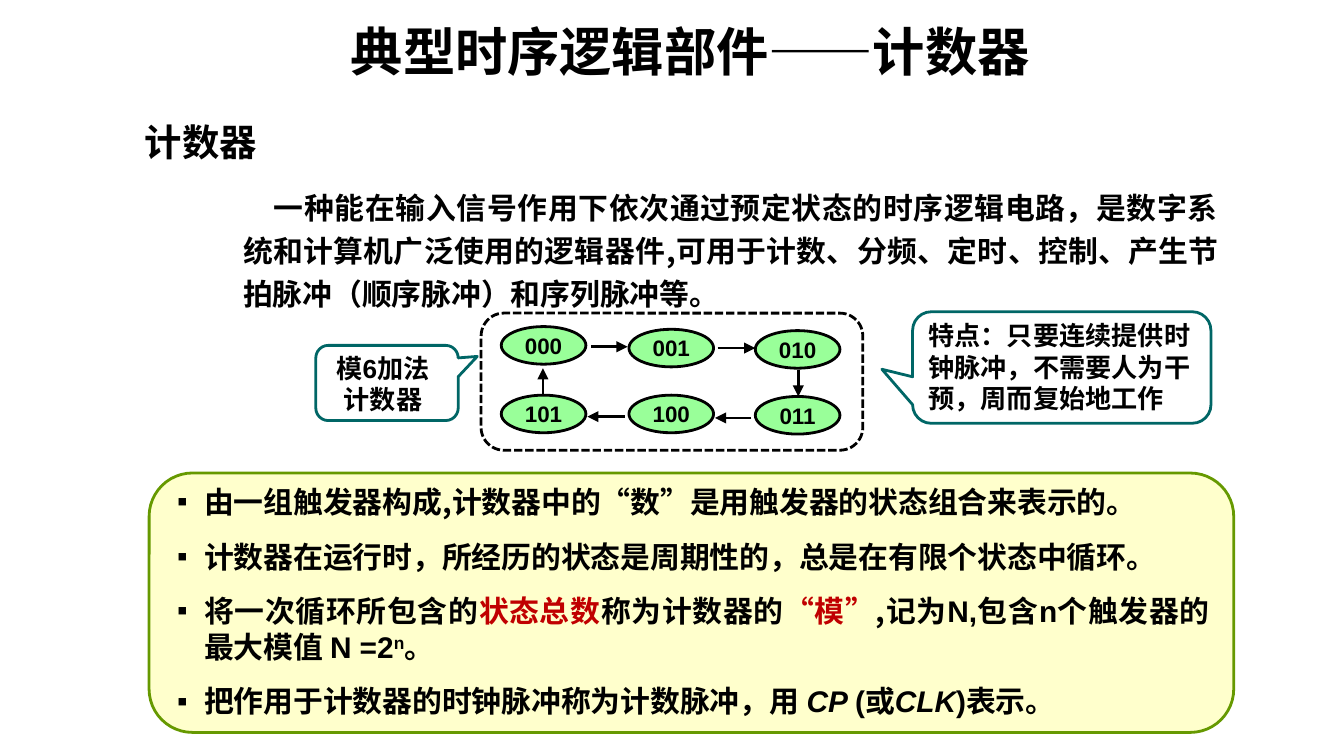
from lxml import etree
from pptx import Presentation
from pptx.dml.color import RGBColor
from pptx.enum.dml import MSO_LINE
from pptx.enum.shapes import MSO_CONNECTOR, MSO_SHAPE
from pptx.enum.text import MSO_ANCHOR, PP_ALIGN
from pptx.oxml.ns import qn
from pptx.util import Inches, Pt

BLACK = RGBColor(0x00, 0x00, 0x00)
WHITE = RGBColor(0xFF, 0xFF, 0xFF)
RED = RGBColor(0xC0, 0x00, 0x00)
GREEN = RGBColor(0x99, 0xFF, 0x99)
TEAL = RGBColor(0x00, 0x66, 0x66)
PALE_YELLOW = RGBColor(0xFF, 0xFF, 0xCC)
OLIVE = RGBColor(0x66, 0x99, 0x00)

LATIN = "Arial"
CHINESE = "Noto Sans CJK SC"
LEFT, CENTER, JUSTIFY = PP_ALIGN.LEFT, PP_ALIGN.CENTER, PP_ALIGN.JUSTIFY
TOP, MIDDLE = MSO_ANCHOR.TOP, MSO_ANCHOR.MIDDLE
ROUNDED, OVAL = MSO_SHAPE.ROUNDED_RECTANGLE, MSO_SHAPE.OVAL
CALLOUT = MSO_SHAPE.ROUNDED_RECTANGULAR_CALLOUT
STRAIGHT, DASHED = MSO_CONNECTOR.STRAIGHT, MSO_LINE.SQUARE_DOT


class CounterSlide:
    line_width = Pt(1.5)

    def __init__(self, presentation):
        self.slide = presentation.slides.add_slide(presentation.slide_layouts[5])
        self.shapes = self.slide.shapes

    def title(self, text, left, top, width, height):
        title = self.shapes.title
        title.left, title.top = Inches(left), Inches(top)
        title.width, title.height = Inches(width), Inches(height)
        title.text_frame.vertical_anchor = TOP
        self.paragraph(title.text_frame, text, 28, align=CENTER)

    def paragraph(self, frame, content, size, font=CHINESE, align=JUSTIFY,
                  margin=0, indent=0, bullet=None, spacing=None, before=0):
        """Fill the empty first paragraph or append one.

        content is a string, or a list of (text, run options).
        """
        paragraph = frame.paragraphs[0]
        if paragraph.runs:
            paragraph = frame.add_paragraph()
        paragraph.alignment = align
        paragraph.space_before = Pt(before)
        if spacing:
            paragraph.line_spacing = spacing
        properties = paragraph._p.get_or_add_pPr()
        properties.set("marL", str(Inches(margin)))
        properties.set("indent", str(Inches(indent)))
        if bullet:
            etree.SubElement(properties, qn("a:buFont")).set("typeface", LATIN)
            etree.SubElement(properties, qn("a:buChar")).set("char", bullet)
        style = paragraph.font
        style.size, style.bold, style.name = Pt(size), True, font
        style.color.rgb = BLACK
        latin = properties.find(qn("a:defRPr")).find(qn("a:latin"))
        east_asian = etree.Element(qn("a:ea"))
        east_asian.set("typeface", CHINESE)
        latin.addnext(east_asian)
        parts = [(content, {})] if isinstance(content, str) else content
        for text, options in parts:
            self.run(paragraph, text, **options)

    def run(self, paragraph, text, color=None, font=None, italic=None, raised=False):
        run = paragraph.add_run()
        run.text = text
        if color is not None:
            run.font.color.rgb = color
        if font:
            run.font.name = font
        if italic:
            run.font.italic = True
        if raised:
            run._r.get_or_add_rPr().set("baseline", "30000")

    def text_box(self, left, top, width, height):
        box = self.shapes.add_textbox(Inches(left), Inches(top), Inches(width), Inches(height))
        box.text_frame.word_wrap = True
        return box.text_frame

    def shape(self, kind, left, top, width, height, line, fill=None, adjustments=()):
        shape = self.shapes.add_shape(
            kind, Inches(left), Inches(top), Inches(width), Inches(height))
        shape.shadow.inherit = False
        if fill is None:
            shape.fill.background()
        else:
            shape.fill.solid()
            shape.fill.fore_color.rgb = fill
        shape.line.color.rgb = line
        shape.line.width = self.line_width
        for index, value in enumerate(adjustments):
            shape.adjustments[index] = value
        return shape

    def state(self, code, left, top):
        frame = self.shape(OVAL, left, top, 0.63, 0.28, BLACK, GREEN).text_frame
        frame.margin_left = frame.margin_right = 0
        frame.margin_top = frame.margin_bottom = 0
        frame.vertical_anchor = MIDDLE
        frame.word_wrap = False
        self.paragraph(frame, code, 12, font=LATIN, align=CENTER)

    def arrow(self, x1, y1, x2, y2):
        arrow = self.shapes.add_connector(
            STRAIGHT, Inches(x1), Inches(y1), Inches(x2), Inches(y2))
        arrow.line.color.rgb = BLACK
        arrow.line.width = self.line_width
        properties = arrow._element.spPr
        etree.SubElement(properties.find(qn("a:ln")), qn("a:tailEnd")).set("type", "triangle")
        etree.SubElement(properties, qn("a:effectLst"))


def main():
    presentation = Presentation()
    presentation.slide_width = Inches(10)
    presentation.slide_height = presentation.slide_width * 9 // 16
    page = CounterSlide(presentation)
    page.title("典型时序逻辑部件——计数器", 1.79, 0.09, 6.69, 0.57)

    definition = page.text_box(0.98, 0.77, 8.19, 1.6)
    page.paragraph(definition, "计数器", 20, spacing=1.2)
    page.paragraph(
        definition,
        "一种能在输入信号作用下依次通过预定状态的时序逻辑电路，是数字系统和计算机广泛使用的"
        "逻辑器件,可用于计数、分频、定时、控制、产生节拍脉冲（顺序脉冲）和序列脉冲等。",
        16, margin=0.73, indent=0.23, spacing=1.2, before=10)

    page.shape(ROUNDED, 1.11, 3.52, 8.07, 1.93, OLIVE, PALE_YELLOW, [0.167])
    latin, red = {"font": LATIN}, {"color": RED}
    italic = {"font": LATIN, "italic": True}
    properties = [
        "由一组触发器构成,计数器中的“数”是用触发器的状态组合来表示的。",
        "计数器在运行时，所经历的状态是周期性的，总是在有限个状态中循环。",
        [("将一次循环所包含的", {}), ("状态总数", red), ("称为计数器的", {}),
         ("“模”", red), (",记为", {}), ("N,", latin), ("包含", {}), ("n", latin),
         ("个触发器的最大模值 ", {}), ("N =2", latin),
         ("n", {"font": LATIN, "raised": True}), ("。", latin)],
        [("把作用于计数器的时钟脉冲称为计数脉冲，用 ", {}), ("CP ", italic),
         ("(或", latin), ("CLK", italic), (")", latin), ("表示。", {})],
    ]
    property_list = page.text_box(1.22, 3.55, 7.88, 1.85)
    for index, content in enumerate(properties):
        page.paragraph(property_list, content, 16, margin=0.2, indent=-0.2,
                       bullet="▪", before=10 if index else 0)

    cycle_frame = page.shape(ROUNDED, 3.58, 2.33, 2.84, 1.02, BLACK, adjustments=[0.167])
    cycle_frame.line.dash_style = DASHED
    columns = [3.73, 4.68, 5.62]
    upper_row = zip(["000", "001", "010"], columns, [2.43, 2.45, 2.46])
    lower_row = zip(["101", "100", "011"], columns, [2.94, 2.94, 2.95])
    for code, left, top in [*upper_row, *lower_row]:
        page.state(code, left, top)
    for ends in [
        (4.4, 2.58, 4.67, 2.58), (5.34, 2.59, 5.62, 2.59), (5.94, 2.75, 5.94, 2.95),
        (5.59, 3.11, 5.32, 3.11), (4.65, 3.1, 4.37, 3.1), (4.04, 2.94, 4.04, 2.74),
    ]:
        page.arrow(*ends)

    page.shape(CALLOUT, 2.35, 2.57, 1.06, 0.56, TEAL, WHITE, [0.634, -0.353, 0.167])
    page.paragraph(page.text_box(2.32, 2.57, 1.06, 0.57), "模6加法计数器", 14,
                   font=LATIN, align=CENTER)
    page.shape(CALLOUT, 6.79, 2.32, 2.22, 0.83, TEAL, WHITE, [-0.603, 0.016, 0.167])
    page.paragraph(page.text_box(6.81, 2.33, 2.28, 0.8),
                   "特点：只要连续提供时钟脉冲，不需要人为干预，周而复始地工作", 14, align=LEFT)

    presentation.save("out.pptx")


if __name__ == "__main__":
    main()
